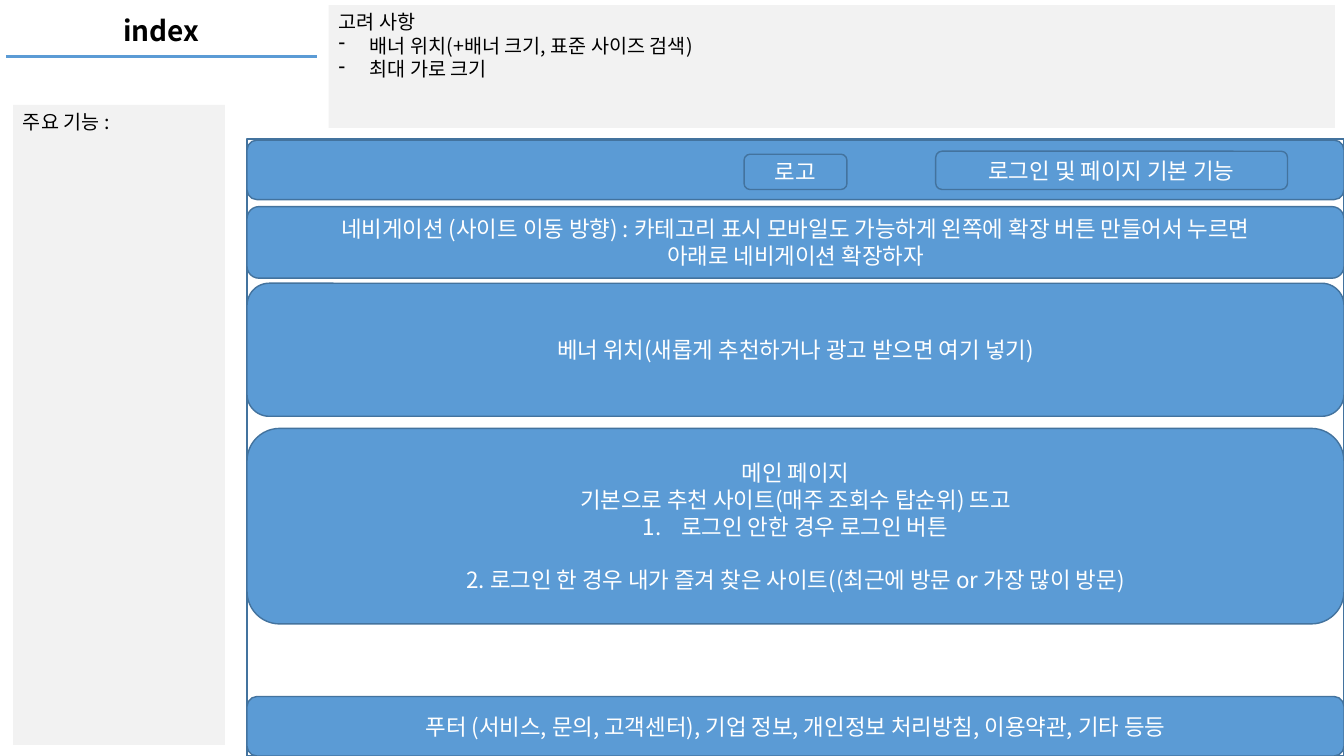
from lxml.etree import SubElement
from pptx import Presentation
from pptx.dml.color import RGBColor
from pptx.enum.shapes import MSO_CONNECTOR, MSO_SHAPE
from pptx.enum.text import MSO_ANCHOR, PP_ALIGN
from pptx.oxml.ns import qn
from pptx.util import Inches, Pt

FONT = "Noto Sans CJK KR"
BLACK, WHITE, GRAY, BLUE, DARK_BLUE = "000000", "FFFFFF", "F2F2F2", "5B9BD5", "43739E"
LINE_HEIGHT = 1.2

# The slide is a grid of 1333 columns and 750 rows.
COLUMNS, ROWS = 1333, 750
CELL = Inches(0.01)
PAGE_LEFT, PAGE_TOP = 245, 138
PAGE_WIDTH, PAGE_HEIGHT = COLUMNS - PAGE_LEFT, ROWS - PAGE_TOP

TITLE = "index"
TITLE_BOX = (6, 5, 308, 51)

# Paragraphs are (text, bullet); a bullet of "1." numbers the paragraph.
NOTES = [
    ((13, 104, 210, 635), [("주요 기능 :", None)]),
    ((326, 5, 998, 122), [
        ("고려 사항", None),
        ("배너 위치(+배너 크기, 표준 사이즈 검색)", "-"),
        ("최대 가로 크기", "-"),
    ]),
]

# Full-width page sections: top row, height, paragraphs
SECTIONS = [
    (139, 59, []),
    (205, 71, [
        ("네비게이션 (사이트 이동 방향) : 카테고리 표시 모바일도 가능하게 왼쪽에 확장 버튼 만들어서 누르면", None),
        ("아래로 네비게이션 확장하자", None),
    ]),
    (281, 132, [("베너 위치(새롭게 추천하거나 광고 받으면 여기 넣기)", None)]),
    (425, 194, [
        ("메인 페이지", None),
        ("기본으로 추천 사이트(매주 조회수 탑순위) 뜨고", None),
        ("로그인 안한 경우 로그인 버튼", "1."),
        ("2. 로그인 한 경우 내가 즐겨 찾은 사이트((최근에 방문 or 가장 많이 방문)", None),
    ]),
    (691, 59, [("푸터 (서비스, 문의, 고객센터), 기업 정보, 개인정보 처리방침, 이용약관, 기타 등등", None)]),
]

HEADER_BUTTONS = [
    ((738, 153, 102, 35), [("로고", None)]),
    ((928, 150, 349, 38), [("로그인 및 페이지 기본 기능", None)]),
]


def color(hex_string):
    return RGBColor.from_string(hex_string)


def cells(*counts):
    return [count * CELL for count in counts]


def set_bullet(paragraph, bullet, indent):
    properties = paragraph._p.get_or_add_pPr()
    properties.set("marL", str(Inches(indent)))
    properties.set("indent", str(-Inches(indent)))
    if bullet == "1.":
        SubElement(properties, qn("a:buAutoNum"), type="arabicPeriod")
    else:
        SubElement(properties, qn("a:buChar"), char=bullet)


def write(shape, paragraphs, size, text_color, align, anchor, bold=False, indent=0.31):
    frame = shape.text_frame
    frame.word_wrap = True
    frame.vertical_anchor = anchor
    after_number = False
    for index, (text, bullet) in enumerate(paragraphs):
        paragraph = frame.add_paragraph() if index else frame.paragraphs[0]
        paragraph.alignment = align
        paragraph.line_spacing = Pt(size * LINE_HEIGHT)
        if after_number:
            paragraph.space_before = Pt(size * LINE_HEIGHT)
        if bullet:
            set_bullet(paragraph, bullet, indent)
        after_number = bullet == "1."
        run = paragraph.add_run()
        run.text = text
        run.font.name = FONT
        run.font.size = Pt(size)
        run.font.bold = bold
        run.font.color.rgb = color(text_color)
        SubElement(run._r.get_or_add_rPr(), qn("a:ea"), typeface=FONT)


def add_box(slide, kind, box, fill=None, line=None, line_width=1):
    shape = slide.shapes.add_shape(kind, *cells(*box))
    shape.shadow.inherit = False
    if fill:
        shape.fill.solid()
        shape.fill.fore_color.rgb = color(fill)
    else:
        shape.fill.background()
    if line:
        shape.line.color.rgb = color(line)
        shape.line.width = Pt(line_width)
    else:
        shape.line.fill.background()
    return shape


def add_title(slide):
    left, top, width, height = TITLE_BOX
    title = slide.shapes.add_textbox(*cells(*TITLE_BOX))
    write(title, [(TITLE, None)], 20, BLACK, PP_ALIGN.CENTER, MSO_ANCHOR.MIDDLE, bold=True)
    bottom = top + height
    underline = slide.shapes.add_connector(
        MSO_CONNECTOR.STRAIGHT, *cells(left, bottom, left + width, bottom))
    underline.line.color.rgb = color(BLUE)
    underline.line.width = Pt(2.25)
    SubElement(underline._element.spPr, qn("a:effectLst"))


def add_block(slide, box, paragraphs):
    block = add_box(slide, MSO_SHAPE.ROUNDED_RECTANGLE, box, BLUE, DARK_BLUE)
    write(block, paragraphs, 16, WHITE, PP_ALIGN.CENTER, MSO_ANCHOR.MIDDLE, indent=0.38)


def main():
    presentation = Presentation()
    presentation.slide_width, presentation.slide_height = cells(COLUMNS, ROWS)
    slide = presentation.slides.add_slide(presentation.slide_layouts[6])

    add_title(slide)
    for box, paragraphs in NOTES:
        note = add_box(slide, MSO_SHAPE.RECTANGLE, box, GRAY)
        write(note, paragraphs, 14, BLACK, PP_ALIGN.LEFT, MSO_ANCHOR.TOP)

    page = (PAGE_LEFT, PAGE_TOP, PAGE_WIDTH, PAGE_HEIGHT)
    add_box(slide, MSO_SHAPE.RECTANGLE, page, line=DARK_BLUE, line_width=1.5)
    for top, height, paragraphs in SECTIONS:
        add_block(slide, (PAGE_LEFT, top, PAGE_WIDTH, height), paragraphs)
    for box, paragraphs in HEADER_BUTTONS:
        add_block(slide, box, paragraphs)

    presentation.save("out.pptx")


if __name__ == "__main__":
    main()
